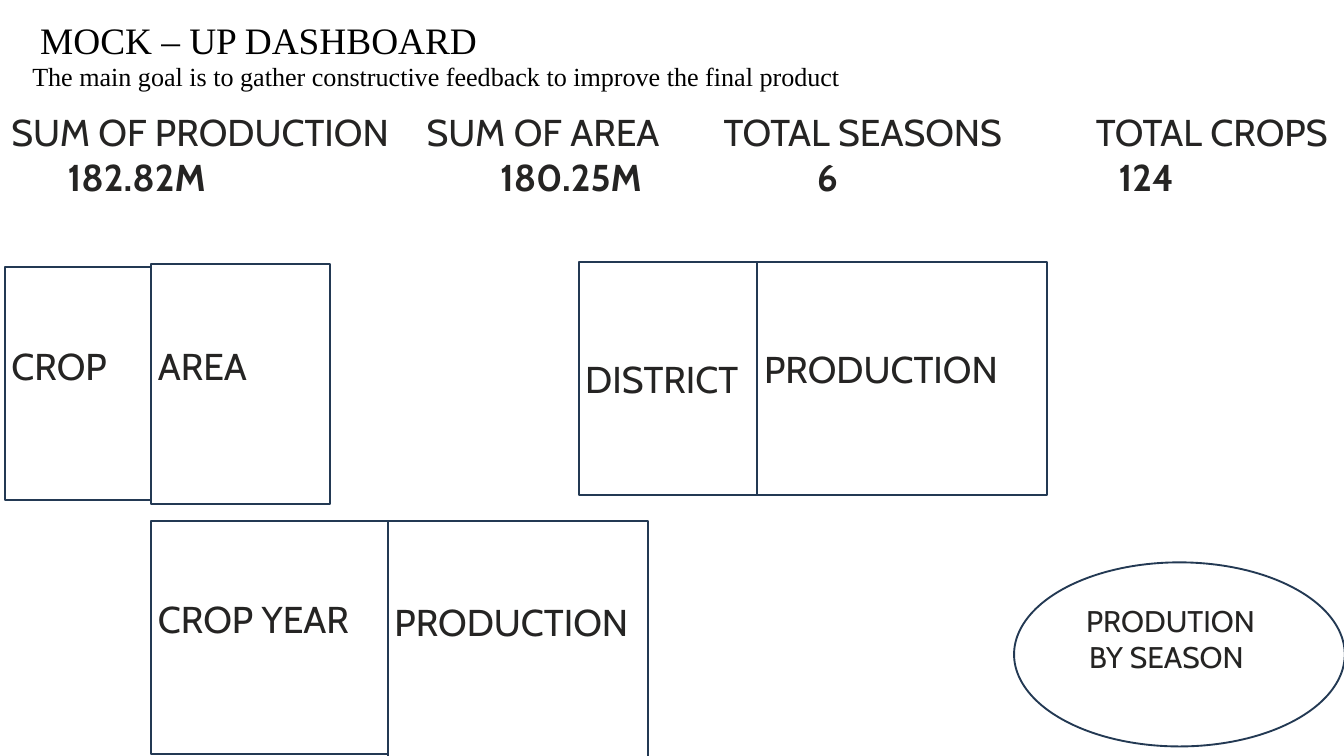
from pptx import Presentation
from pptx.dml.color import RGBColor
from pptx.enum.shapes import MSO_SHAPE as Kind
from pptx.enum.text import MSO_ANCHOR as Anchor, PP_ALIGN as Align
from pptx.util import Cm, Pt

BLACK = RGBColor(0x00, 0x00, 0x00)
INK = RGBColor(0x25, 0x24, 0x23)
NAVY = RGBColor(0x23, 0x39, 0x53)
WHITE = RGBColor(0xFF, 0xFF, 0xFF)

deck = Presentation()
deck.slide_width, deck.slide_height = Cm(50.8), Cm(28.58)
slide = deck.slides.add_slide(deck.slide_layouts[6])
shapes = slide.shapes


def style(para, text, size, face="Cabin", color=INK, bold=False, indent=0):
    para.text = text
    para.alignment = Align.LEFT
    font = para.font
    font.name, font.size, font.bold = face, Pt(size), bold
    font.color.rgb = color
    if indent:
        props = para._p.get_or_add_pPr()
        props.set("marL", str(Cm(indent)))
        props.set("indent", "0")


def add_box(left, top, width, height):
    frame = shapes.add_textbox(Cm(left), Cm(top), Cm(width), Cm(height)).text_frame
    frame.word_wrap = True
    return frame


# Title and subtitle
title = add_box(1.52, 0.36, 18.52, 1.9)
title.margin_left = title.margin_right = title.margin_top = title.margin_bottom = 0
goal = add_box(0.97, 1.35, 55.85, 2.03)
for frame, text, size in [
    (title, "MOCK – UP DASHBOARD", 40),
    (goal, "The main goal is to gather constructive feedback to improve the final product", 28),
]:
    para = frame.paragraphs[0]
    style(para, text, size, "Times New Roman", BLACK)
    para.line_spacing = Pt(56)

# Key figures: left, width, label, label indent, value, value indent
figures = [
    (0.18, 15.06, "SUM OF PRODUCTION", 0, "182.82M", 2.13),
    (14.61, 13.79, "SUM OF AREA", 1.27, "180.25M", 4.04),
    (27.1, 12.9, "TOTAL SEASONS", 0, "6", 3.53),
    (41.17, 37.03, "TOTAL CROPS", 0, "124", 0.86),
]
for left, width, label, inset, value, shift in figures:
    frame = add_box(left, 4.01, width, 3.68)
    style(frame.paragraphs[0], label, 40, indent=inset)
    style(frame.add_paragraph(), value, 40, bold=True, indent=shift)

# Chart areas: kind, left, top, width, height, bottom margin, size, lines with indents
panels = [
    (Kind.RECTANGLE, 0.18, 10.11, 5.54, 8.81, 1.55, 40, [("CROP", 0)]),
    (Kind.RECTANGLE, 5.72, 9.98, 6.76, 9.07, 1.55, 40, [("AREA", 0)]),
    (Kind.RECTANGLE, 21.87, 9.91, 6.76, 8.79, 0.13, 40, [("DISTRICT", 0)]),
    (Kind.RECTANGLE, 28.63, 9.91, 10.95, 8.79, 0.84, 40, [("PRODUCTION", 0)]),
    (Kind.OVAL, 38.33, 21.26, 12.5, 6.96, 1.3, 32,
     [("PRODUTION", 0.64), ("BY SEASON", 0.76)]),
    (Kind.RECTANGLE, 5.72, 19.69, 8.94, 8.81, 1.55, 40, [("CROP YEAR", 0)]),
    (Kind.RECTANGLE, 14.66, 19.69, 9.83, 9.07, 1.55, 40, [("PRODUCTION", 0)]),
]
for kind, left, top, width, height, base, size, lines in panels:
    panel = shapes.add_shape(kind, Cm(left), Cm(top), Cm(width), Cm(height))
    panel.shadow.inherit = False
    panel.fill.solid()
    panel.fill.fore_color.rgb = WHITE
    panel.line.color.rgb = NAVY
    panel.line.width = Pt(2)
    frame = panel.text_frame
    frame.word_wrap = True
    frame.vertical_anchor = Anchor.MIDDLE
    frame.margin_bottom = Cm(base)
    for row, (text, indent) in enumerate(lines):
        para = frame.add_paragraph() if row else frame.paragraphs[0]
        style(para, text, size, indent=indent)

deck.save("out.pptx")
